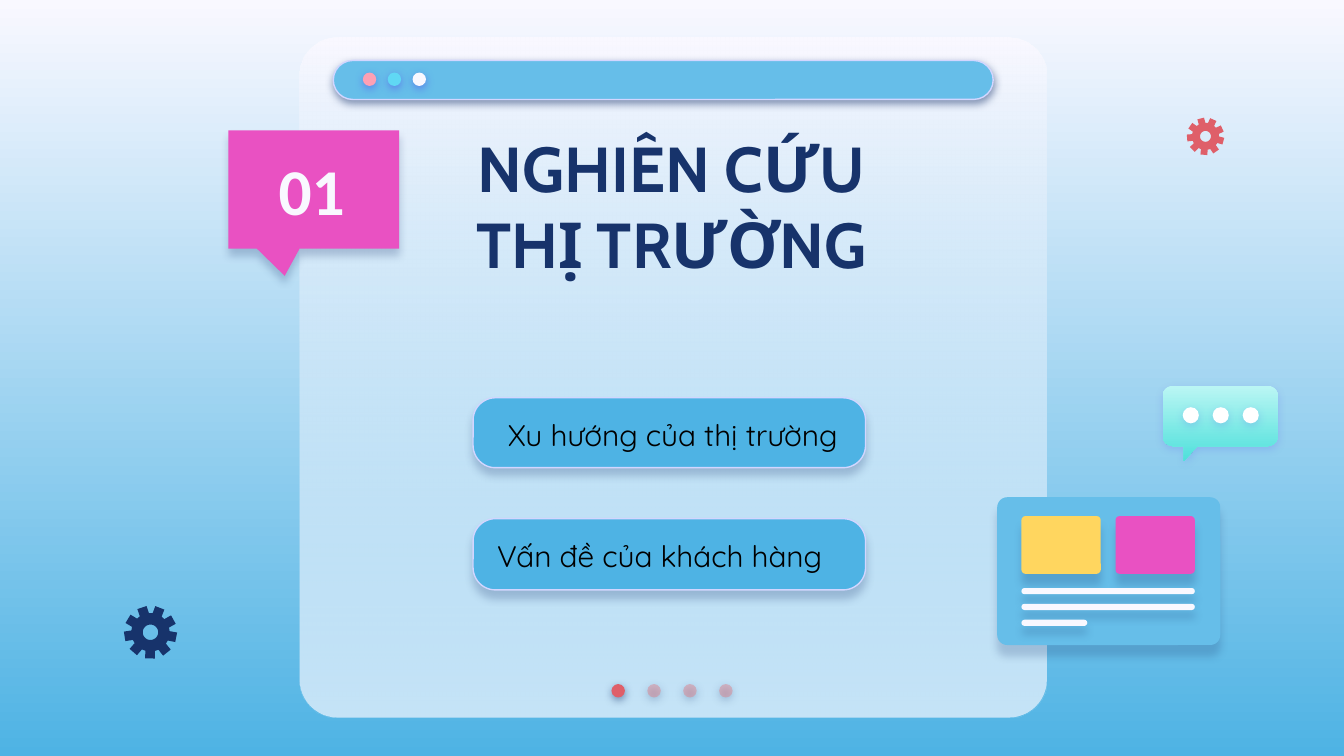
from dataclasses import dataclass
from math import cos, radians, sin

from lxml import etree
from pptx import Presentation, util as u
from pptx.dml.color import RGBColor
from pptx.enum import shapes, text
from pptx.oxml.ns import qn

Kind = shapes.MSO_SHAPE
Anchor = text.MSO_ANCHOR
Align = text.PP_ALIGN


@dataclass(frozen=True)
class Theme:
    navy: str = "17336B"
    pale: str = "F9F8FF"
    white: str = "FFFFFF"
    black: str = "000000"
    sky: str = "4EB3E4"
    blue: str = "66BEE9"
    edge: str = "D2D6FF"
    violet: str = "5352EE"
    pink: str = "E951C2"
    yellow: str = "FFD65F"
    red: str = "DF5F69"
    rose: str = "E27B83"
    blush: str = "FDA0B4"
    cyan: str = "60D8F4"
    mint: str = "BBF6F4"
    teal: str = "4EE0DB"
    head: int = 34
    number: int = 35
    body: int = 16


class Deck:
    """Places elements on a grid of 100 columns by 56.25 rows."""

    def __init__(self, theme):
        self.theme = theme
        self.file = Presentation()
        self.file.slide_width = u.Inches(10)
        self.file.slide_height = u.Inches(10 * 9 / 16)
        self.unit = self.file.slide_width / 100
        self.slide = self.file.slides.add_slide(self.file.slide_layouts[6])

    def grid(self, *cells):
        return [u.Emu(round(c * self.unit)) for c in cells]

    def fade(self, fill, top, bottom):
        fill.gradient()
        fill.gradient_angle = 270
        for stop, tone in zip(fill.gradient_stops, (top, bottom)):
            stop.color.rgb = RGBColor.from_string(tone)

    def alpha(self, color, share):
        etree.SubElement(color, qn("a:alpha"), val=str(share * 1000))

    def paint(self, shape, fill, line=None, shade=None, clear=None):
        """fill: colour or (top, bottom); shade: (colour, alpha, distance)."""
        if isinstance(fill, tuple):
            self.fade(shape.fill, *fill)
        else:
            shape.fill.solid()
            shape.fill.fore_color.rgb = RGBColor.from_string(fill)
        props = shape.element.spPr
        if clear:
            self.alpha(list(props.iter(qn("a:srgbClr")))[-1], clear)
        if line:
            shape.line.color.rgb = RGBColor.from_string(line)
            shape.line.width = u.Pt(0.75)
        else:
            shape.line.fill.background()
        shape.shadow.inherit = False
        if shade:
            tone, share, gap = shade
            drop = etree.SubElement(
                props.find(qn("a:effectLst")), qn("a:outerShdw"),
                blurRad=str(u.Pt(4.5)), dist=str(u.Pt(gap)),
                dir="5400000", algn="bl", rotWithShape="0")
            self.alpha(etree.SubElement(drop, qn("a:srgbClr"), val=tone), share)
        return shape

    def shape(self, kind, box, fill, adjust=(), **style):
        item = self.slide.shapes.add_shape(kind, *self.grid(*box))
        for i, value in enumerate(adjust):
            item.adjustments[i] = value
        return self.paint(item, fill, **style)

    def panel(self, box, fill, radius, **style):
        return self.shape(Kind.ROUNDED_RECTANGLE, box, fill,
                          [radius / min(box[2:])], **style)

    def dot(self, x, y, size, fill, **style):
        return self.shape(Kind.OVAL, (x, y, size, size), fill, **style)

    def outline(self, loops, fill, **style):
        first, *rest = [[self.grid(*p) for p in loop] for loop in loops]
        path = self.slide.shapes.build_freeform(*first[0])
        path.add_line_segments(first[1:])
        for loop in rest:
            path.move_to(*loop[0])
            path.add_line_segments(loop[1:])
        return self.paint(path.convert_to_shape(), fill, **style)

    def gear(self, x, y, size, turn, fill):
        def spot(angle, share):
            a = radians(angle)
            return x + size * share * sin(a), y - size * share * cos(a)

        tooth = [(-14.5, 0.72), (-10.5, 1), (10.5, 1), (14.5, 0.72)]
        rim = [spot(turn + 40 * i + a, r) for i in range(9) for a, r in tooth]
        hole = [spot(-a, 0.29) for a in range(0, 360, 10)]
        return self.outline([rim, hole], fill)

    def bubble(self, box, radius, tail, fill, **style):
        x, y, w, h = box
        corners = [(x + w - radius, y + radius, -90),
                   (x + w - radius, y + h - radius, 0),
                   (x + radius, y + h - radius, 90),
                   (x + radius, y + radius, 180)]
        arcs = [[(cx + radius * cos(radians(start + a)),
                  cy + radius * sin(radians(start + a)))
                 for a in range(0, 91, 10)] for cx, cy, start in corners]
        rim = arcs[0] + arcs[1] + tail + arcs[2] + arcs[3]
        return self.outline([rim], fill, **style)

    def label(self, box, words, font, size, color, bold=False,
              align=Align.LEFT, anchor=Anchor.TOP, pad=(1, 1, 1, 1)):
        item = self.slide.shapes.add_textbox(*self.grid(*box))
        frame = item.text_frame
        frame.word_wrap = True
        frame.vertical_anchor = anchor
        (frame.margin_left, frame.margin_top,
         frame.margin_right, frame.margin_bottom) = self.grid(*pad)
        line = frame.paragraphs[0]
        line.text = words
        line.alignment = align
        line.font.name = font
        line.font.size = u.Pt(size)
        line.font.bold = bold
        line.font.color.rgb = RGBColor.from_string(color)
        return item


def main():
    t = Theme()
    d = Deck(t)
    hard = (t.navy, 50, 1.5)
    soft = (t.navy, 24, 3.8)
    glow = (t.violet, 50, 1.5)
    haze = (t.violet, 18, 1.5)
    deep = (t.navy, 20, 6)

    # Background and window
    d.fade(d.slide.background.fill, t.pale, t.sky)
    window = (22.3, 2.8, 55.6, 50.6)
    d.panel(window, t.pale, 2.83)
    d.panel(window, (t.pale, t.blue), 2.83, clear=35)

    # Page dots
    for i in range(4):
        d.dot(45.5 + 2.67 * i, 50.9, 1, t.rose if i else t.red,
              clear=44 if i else None, shade=hard)

    # Title bar with buttons
    d.panel((24.8, 4.5, 49.1, 2.9), t.blue, 1.45, line=t.edge, shade=hard)
    for i, tone in enumerate((t.blush, t.cyan, t.pale)):
        d.dot(27 + 1.85 * i, 5.4, 1, tone, shade=glow)

    # Number tag and heading
    d.shape(Kind.ROUNDED_RECTANGULAR_CALLOUT, (17, 9.7, 12.7, 8.8), t.pink,
            (-0.17, 0.73, 0), shade=soft)
    d.label((30.4, 9.6, 39.1, 16.9), "NGHIÊN CỨU THỊ TRƯỜNG", "Cabin", t.head,
            t.navy, True, Align.CENTER, Anchor.MIDDLE, (1, 1, 1, 6.6))
    d.label((17.9, 10.2, 10.6, 7.8), "01", "Calibri", t.number,
            t.pale, True, Align.CENTER, Anchor.BOTTOM)

    # Card with two tiles and three lines
    d.panel((74.2, 37, 16.6, 11), t.blue, 0.75, shade=deep)
    for i, tone in enumerate((t.yellow, t.pink)):
        d.panel((76 + 7 * i, 38.4, 5.9, 4.3), tone, 0.3, shade=deep)
    for i, wide in enumerate((12.9, 12.9, 4.9)):
        d.panel((76, 43.75 + 1.18 * i, wide, 0.46), t.pale, 0.23,
                shade=(t.navy, 21, 4.5))

    # Chat bubble
    d.bubble((86.5, 28.7, 8.6, 4.5), 0.8,
             [(89.1, 33.2), (88.1, 34.3), (88.1, 33.2)],
             (t.mint, t.teal), shade=haze)
    for i in range(3):
        d.dot(88 + 2.23 * i, 30.3, 1.2, t.white, shade=haze)

    # Gears
    d.gear(11.2, 47.05, 1.98, -19, t.navy)
    d.gear(89.7, 10.15, 1.4, -15, t.red)

    # Topic buttons
    topics = [(29.6, 5.2, 36.8, 30.5, 27.7, "Xu hướng của thị trường"),
              (38.6, 5.3, 36, 39.5, 27.5, "Vấn đề của khách hàng")]
    for top, tall, x, y, wide, words in topics:
        d.panel((35.2, top, 29.2, tall), t.sky, 1.66, line=t.edge, shade=soft)
        item = d.label((x, y, wide, 3.7), words, "Quicksand", t.body, t.black,
                       pad=(1, 0.5, 1, 0.5))
        item.text_frame.auto_size = text.MSO_AUTO_SIZE.SHAPE_TO_FIT_TEXT

    d.file.save("out.pptx")


if __name__ == "__main__":
    main()
